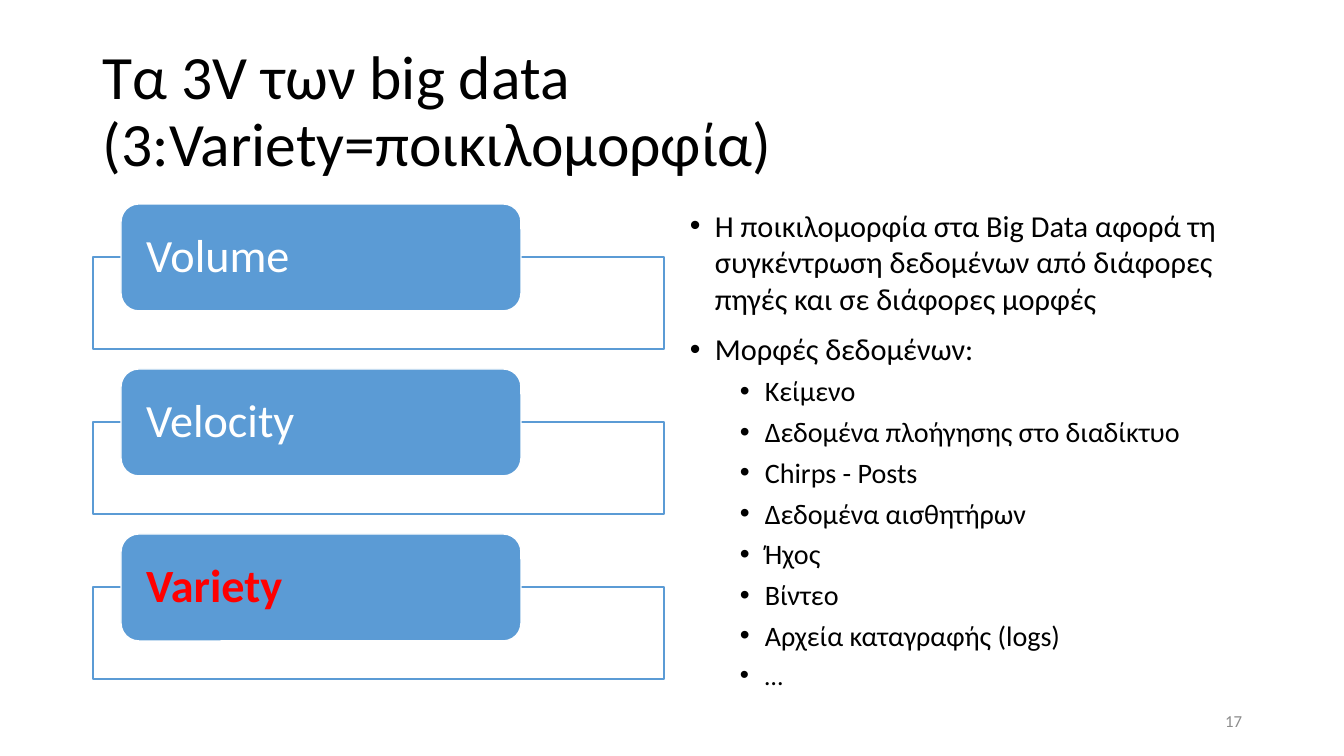
from lxml.etree import SubElement
from pptx import Presentation
from pptx.dml.color import RGBColor
from pptx.enum.shapes import MSO_SHAPE
from pptx.enum.text import MSO_ANCHOR, PP_ALIGN
from pptx.oxml.ns import qn
from pptx.util import Emu, Pt

WIDE, HIGH = 1344, 756
SCALE = 12192000 / WIDE
FONT = "Calibri"
COLORS = {
    "text": "000000",
    "blue": "5B9BD5",
    "white": "FFFFFF",
    "red": "FF0000",
    "gray": "8C8C8C",
}
LABELS = [
    ("Volume", "white", False),
    ("Velocity", "white", False),
    ("Variety", "red", True),
]
STEP = 165
POINTS = [
    (0, 21.7, "Η ποικιλομορφία στα Big Data αφορά τη συγκέντρωση δεδομένων από διάφορες πηγές και σε διάφορες μορφές"),
    (0, 21.7, "Μορφές δεδομένων:"),
    (1, 20.1, "Κείμενο"),
    (1, 20.1, "Δεδομένα πλοήγησης στο διαδίκτυο"),
    (1, 20.1, "Chirps - Posts"),
    (1, 20.1, "Δεδομένα αισθητήρων"),
    (1, 20.1, "Ήχος"),
    (1, 20.1, "Βίντεο"),
    (1, 20.1, "Αρχεία καταγραφής (logs)"),
    (1, 18.6, "…"),
]


def px(count):
    return Emu(round(count * SCALE))


def paint(name):
    return RGBColor.from_string(COLORS[name])


def add_run(para, text, size, color, bold=False):
    run = para.add_run()
    run.text = text
    font = run.font
    font.name, font.size, font.bold = FONT, Pt(size), bold
    font.color.rgb = paint(color)


def add_box(slide, area, anchor=MSO_ANCHOR.MIDDLE):
    frame = slide.shapes.add_textbox(*map(px, area)).text_frame
    frame.word_wrap = True
    frame.vertical_anchor = anchor
    return frame


def add_panel(slide, kind, area, fill, line):
    shape = slide.shapes.add_shape(kind, *map(px, area))
    shape.shadow.inherit = False
    shape.fill.solid()
    shape.fill.fore_color.rgb = paint(fill)
    shape.line.color.rgb = paint(line)
    shape.line.width = Pt(1)
    return shape


def add_label(slide, top, text, color, bold):
    add_panel(slide, MSO_SHAPE.RECTANGLE, (93, top + 53, 571, 92), "white", "blue")
    card = add_panel(slide, MSO_SHAPE.ROUNDED_RECTANGLE, (121, top, 400, 107), "blue", "white")
    frame = card.text_frame
    frame.word_wrap = True
    frame.vertical_anchor = MSO_ANCHOR.MIDDLE
    frame.margin_left = frame.margin_right = px(20)
    frame.margin_top = frame.margin_bottom = 0
    para = frame.paragraphs[0]
    para.alignment = PP_ALIGN.LEFT
    para.line_spacing = 0.9
    add_run(para, text, 33, color, bold)


def add_bullet(para, level):
    props = para._p.get_or_add_pPr()
    props.set("marL", str(px(25 + 50 * level)))
    props.set("indent", str(px(-25)))
    SubElement(props, qn("a:buFont")).set("typeface", "Arial")
    SubElement(props, qn("a:buChar")).set("char", "•")


def add_list(slide, area, points):
    frame = add_box(slide, area, MSO_ANCHOR.TOP)
    for row, (level, size, text) in enumerate(points):
        para = frame.add_paragraph() if row else frame.paragraphs[0]
        para.level = level
        add_bullet(para, level)
        if row:
            para.space_before = Pt(5 if level else 10)
        add_run(para, text, size, "text")


def main():
    deck = Presentation()
    deck.slide_width, deck.slide_height = px(WIDE), px(HIGH)
    slide = deck.slides.add_slide(deck.slide_layouts[6])

    title = add_box(slide, (93, 40, 1159, 146)).paragraphs[0]
    title.line_spacing = 0.9
    add_run(title, "Τα 3V των big data (3:Variety=ποικιλομορφία)", 44, "text")

    for row, label in enumerate(LABELS):
        add_label(slide, 204 + row * STEP, *label)

    add_list(slide, (680, 202, 601, 499), POINTS)

    page = add_box(slide, (950, 701, 302, 40)).paragraphs[0]
    page.alignment = PP_ALIGN.RIGHT
    add_run(page, "17", 12, "gray")

    deck.save("out.pptx")


if __name__ == "__main__":
    main()
